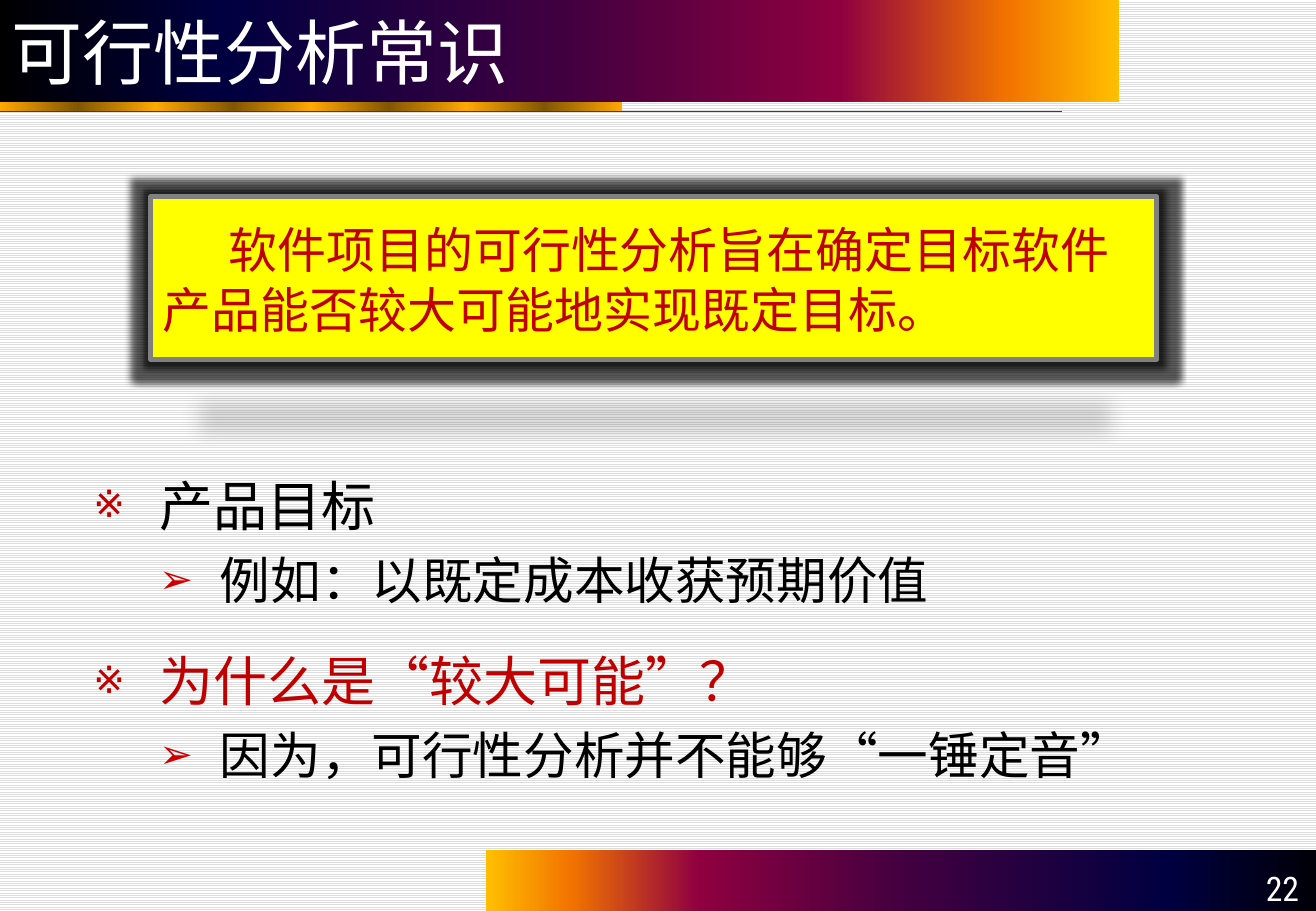
"""Build the slide on the basics of feasibility analysis."""
from dataclasses import dataclass
from typing import Optional

from lxml import etree
from pptx import Presentation
from pptx.dml.color import RGBColor
from pptx.enum.dml import MSO_PATTERN
from pptx.enum.lang import MSO_LANGUAGE_ID
from pptx.enum.shapes import MSO_CONNECTOR, MSO_SHAPE
from pptx.enum.text import MSO_ANCHOR, PP_ALIGN
from pptx.oxml import parse_xml
from pptx.oxml.ns import nsdecls, qn
from pptx.util import Inches, Pt

RECTANGLE = MSO_SHAPE.RECTANGLE
STRAIGHT = MSO_CONNECTOR.STRAIGHT
LIGHT_HORIZONTAL = MSO_PATTERN.LIGHT_HORIZONTAL
CHINESE = MSO_LANGUAGE_ID.SIMPLIFIED_CHINESE
TOP, MIDDLE, BOTTOM = MSO_ANCHOR.TOP, MSO_ANCHOR.MIDDLE, MSO_ANCHOR.BOTTOM
LEFT, RIGHT = PP_ALIGN.LEFT, PP_ALIGN.RIGHT

Stops = list[tuple[float, str]]


@dataclass(frozen=True)
class Theme:
    """Colours, fonts and type sizes of the slide."""
    black: str = "000000"
    white: str = "FFFFFF"
    stripe: str = "DDDDDD"
    rule: str = "CC0000"
    accent: str = "C00000"
    yellow: str = "FFFF00"
    frame: str = "808080"
    gold: str = "FFA800"
    bronze: str = "825600"
    sans: str = "DejaVu Sans"
    cjk: str = "Noto Sans CJK SC"
    condensed: str = "Roboto Condensed"
    title: float = 42
    callout: float = 29
    topic: float = 32
    detail: float = 30
    number: float = 20


@dataclass(frozen=True)
class Box:
    """Place of a shape, in inches."""
    x: float
    y: float
    w: float
    h: float


@dataclass(frozen=True)
class Level:
    """Bullet and spacing of an outline level."""
    char: str
    color: str
    percent: int
    margin: float
    hanging: float
    size: float
    line: float


@dataclass(frozen=True)
class Line:
    """One paragraph of text."""
    text: str
    size: float
    font: str
    color: str
    align: PP_ALIGN = LEFT
    spacing: Optional[float] = None
    before: float = 0
    indent: float = 0
    level: Optional[Level] = None


T = Theme()
SUNSET: Stops = [(0, T.black), (20, "000040"), (50, "400040"),
                 (75, "8F0040"), (90, "F27300"), (100, "FFBF00")]
BRASS: Stops = [(k * 12.5, T.bronze if k % 2 else T.gold) for k in range(9)]
TOPIC = Level("※", T.accent, 70, 0.54, 0.54, T.topic, 39)
DETAIL = Level("➢", T.rule, 80, 1.04, 0.5, T.detail, 37)


def rgb(color: str) -> RGBColor:
    """Turn a hex string into a colour."""
    return RGBColor.from_string(color)


def outline_line(text: str, level: Level, color: str, before: float) -> Line:
    """Describe one bulleted paragraph."""
    return Line(text, level.size, T.cjk, color, spacing=level.line, before=before, level=level)


def set_gradient(sp, stops: Stops, angle: float = 0) -> None:
    """Fill a shape with a linear gradient and no outline."""
    sp.shadow.inherit = False
    sp.line.fill.background()
    sp.fill.gradient()
    sp.fill.gradient_angle = angle
    gs_list = sp._element.spPr.find(qn("a:gradFill")).find(qn("a:gsLst"))
    gs_list[:] = []
    for position, color in stops:
        gs = etree.SubElement(gs_list, qn("a:gs"), pos=str(int(position * 1000)))
        etree.SubElement(gs, qn("a:srgbClr"), val=color)


def add_rect(s, box: Box):
    """Add a plain rectangle."""
    return s.shapes.add_shape(RECTANGLE, *map(Inches, (box.x, box.y, box.w, box.h)))


def add_bullet(p, level: Level) -> None:
    """Give a paragraph its bullet and hanging indent."""
    p_pr = p._p.get_or_add_pPr()
    p_pr.set("marL", str(Inches(level.margin)))
    p_pr.set("indent", str(-Inches(level.hanging)))
    color = etree.SubElement(p_pr, qn("a:buClr"))
    etree.SubElement(color, qn("a:srgbClr"), val=level.color)
    etree.SubElement(p_pr, qn("a:buSzPct"), val=str(level.percent * 1000))
    etree.SubElement(p_pr, qn("a:buFont"), typeface=T.sans)
    etree.SubElement(p_pr, qn("a:buChar"), char=level.char)


def write(sp, lines: list[Line], anchor: MSO_ANCHOR = MIDDLE) -> None:
    """Write paragraphs into a shape."""
    tf = sp.text_frame
    tf.word_wrap = True
    tf.vertical_anchor = anchor
    for i, line in enumerate(lines):
        p = tf.paragraphs[0] if i == 0 else tf.add_paragraph()
        p.text = line.text
        if line.level:
            add_bullet(p, line.level)
        elif line.indent:
            p._p.get_or_add_pPr().set("indent", str(Inches(line.indent)))
        p.alignment = line.align
        p.space_before = Pt(line.before)
        if line.spacing:
            p.line_spacing = Pt(line.spacing)
        font = p.runs[0].font
        font.size, font.name, font.language_id = Pt(line.size), line.font, CHINESE
        font.color.rgb = rgb(line.color)
        etree.SubElement(font._element, qn("a:ea"), typeface=line.font)


def add_text(s, box: Box, lines: list[Line], anchor: MSO_ANCHOR) -> None:
    """Add a text box."""
    write(s.shapes.add_textbox(*map(Inches, (box.x, box.y, box.w, box.h))), lines, anchor)


def add_footer(s) -> None:
    """Draw the footer band with its curved left end."""
    start, c1, c2, end = (3.97, 7.5), (3.97, 7.38), (4.87, 7.25), (4.65, 7.14)
    curve = []
    for t in (k / 24 for k in range(25)):
        u = 1 - t
        weights = (u ** 3, 3 * u * u * t, 3 * u * t * t, t ** 3)
        curve.append(tuple(sum(w * pt[axis] for w, pt in zip(weights, (start, c1, c2, end)))
                           for axis in (0, 1)))
    builder = s.shapes.build_freeform(*start, scale=Inches(1))
    builder.add_line_segments(curve[1:] + [(10.83, 7.14), (10.83, 7.5)], close=True)
    set_gradient(builder.convert_to_shape(), SUNSET, 180)


def add_callout(s) -> None:
    """Draw the framed statement with its glow and cast shadow."""
    sp = add_rect(s, Box(1.24, 1.62, 8.28, 1.34))
    sp.fill.solid()
    sp.fill.fore_color.rgb = rgb(T.yellow)
    sp.line.color.rgb = rgb(T.frame)
    sp.line.width = Pt(3)
    sp.shadow.inherit = False
    effects = sp._element.spPr.find(qn("a:effectLst"))
    for tag, alpha in ((f'glow {nsdecls("a")} rad="{Pt(8)}"', 65),
                       (f'outerShdw {nsdecls("a")} blurRad="{Pt(12)}" dist="{Pt(25)}" dir="5400000" '
                        'sx="90000" sy="-19000" rotWithShape="0"', 15)):
        effects.append(parse_xml(f'<a:{tag}><a:srgbClr val="{T.black}"><a:alpha val="{alpha * 1000}"/>'
                                 f'</a:srgbClr></a:{tag.split()[0]}>'))
    write(sp, [Line("软件项目的可行性分析旨在确定目标软件产品能否较大可能地实现既定目标。",
                    T.callout, T.sans, T.accent, spacing=35.5, indent=0.54)])


def main() -> None:
    """Build and save the slide."""
    prs = Presentation()
    prs.slide_width, prs.slide_height = Inches(10.83), Inches(7.5)
    s = prs.slides.add_slide(prs.slide_layouts[6])
    fill = s.background.fill
    fill.patterned()
    fill.pattern = LIGHT_HORIZONTAL
    fill.fore_color.rgb, fill.back_color.rgb = rgb(T.stripe), rgb(T.white)

    add_footer(s)
    set_gradient(add_rect(s, Box(0, 0.76, 5.12, 0.16)), BRASS)
    rule = s.shapes.add_connector(STRAIGHT, 0, Inches(0.92), Inches(8.74), Inches(0.92))
    rule.line.color.rgb = rgb(T.rule)
    rule.line.width = Pt(0.75)
    etree.SubElement(rule._element.spPr, qn("a:effectLst"))
    title = add_rect(s, Box(0, 0, 9.21, 0.84))
    set_gradient(title, SUNSET)
    write(title, [Line("可行性分析常识", T.title, T.sans, T.white)])

    add_text(s, Box(0.67, 3.83, 9.48, 2.83), [
        outline_line("产品目标", TOPIC, T.black, 0),
        outline_line("例如：以既定成本收获预期价值", DETAIL, T.black, 6),
        outline_line("为什么是“较大可能”？", TOPIC, T.accent, 22),
        outline_line("因为，可行性分析并不能够“一锤定音”", DETAIL, T.black, 6)], TOP)
    add_text(s, Box(9.83, 7.13, 0.96, 0.4),
             [Line("22", T.number, T.condensed, T.white, RIGHT)], BOTTOM)
    add_callout(s)
    prs.save("out.pptx")


if __name__ == "__main__":
    main()
